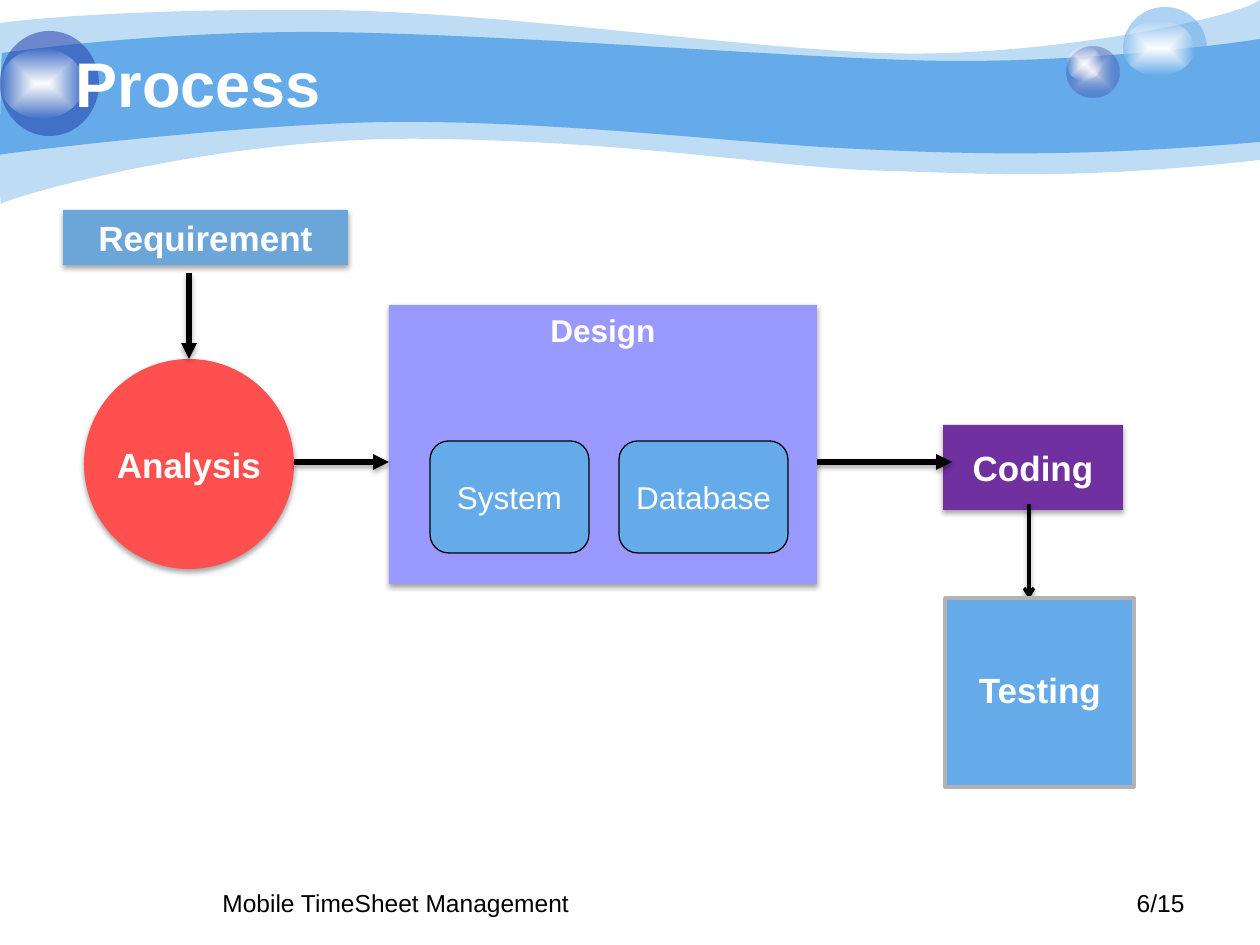
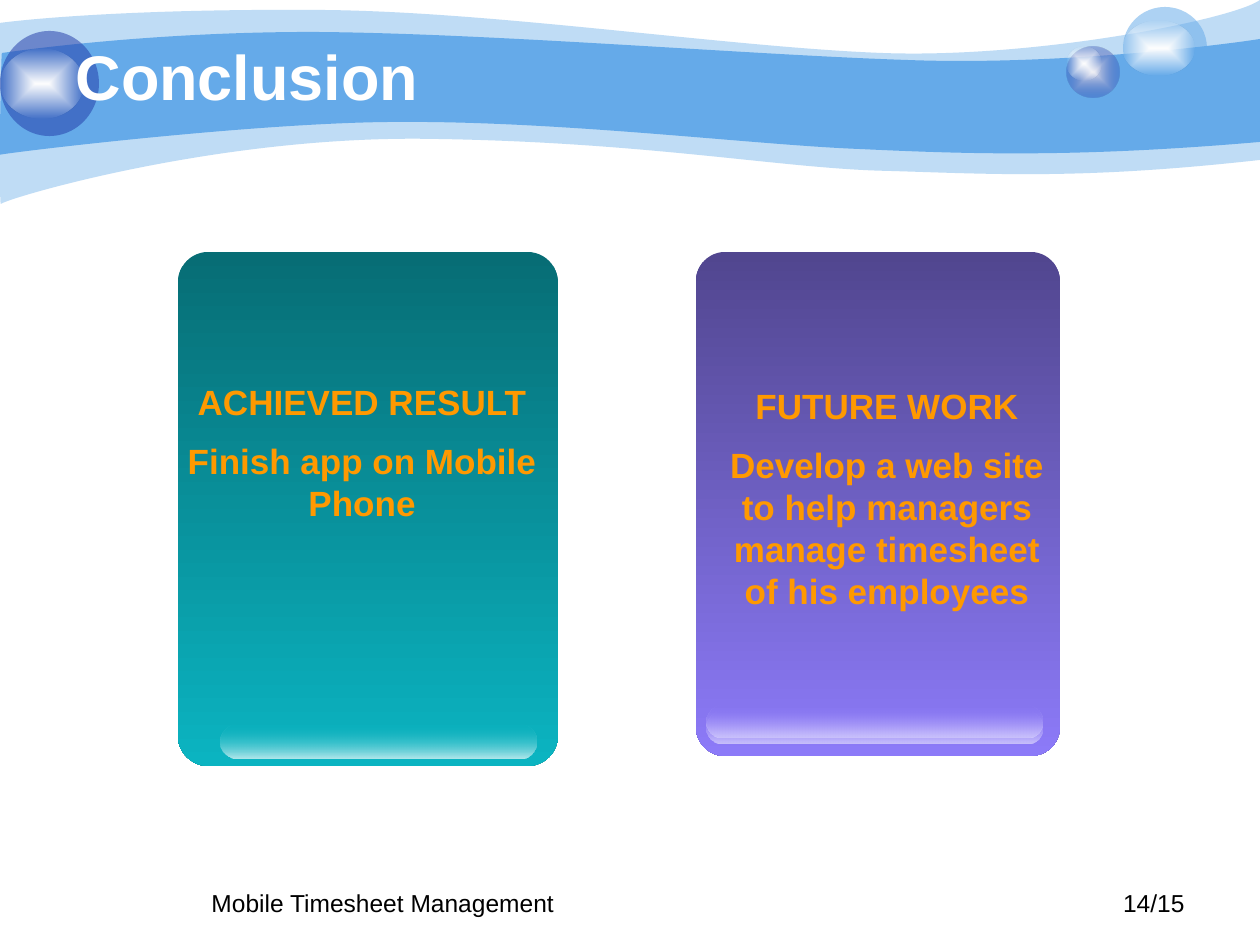
import dataclasses

import lxml.etree
import pptx
import pptx.dml.color
import pptx.enum.shapes
import pptx.enum.text
import pptx.oxml.ns
import pptx.util

SHAPE = pptx.enum.shapes.MSO_SHAPE
ALIGN = pptx.enum.text.PP_ALIGN
ANCHOR = pptx.enum.text.MSO_ANCHOR
qn = pptx.oxml.ns.qn


@dataclasses.dataclass(frozen=True)
class Theme:
    font: str = "Arial"
    title_size: int = 36
    label_size: int = 20
    inner_size: int = 18
    footer_size: int = 14
    white: str = "FFFFFF"
    black: str = "000000"
    sky: str = "65AAE9"
    navy: str = "233DA9"
    mist: str = "E1E2ED"
    steel: str = "6CA5D8"
    red: str = "FF5050"
    purple: str = "7030A0"
    lilac: str = "9999FF"
    silver: str = "B2B2B2"
    orange: str = "FF9900"


THEME = Theme()
EMU_PER_PX = 914400 / 126

# ---- Shared content: waves and glass bubbles (lengths in px) ----
# Each wave: start point, then segments of one end point or two handles and an end.
WAVES = [
    (THEME.sky, 41, (0, 23), [
        [(30, 19), (135, 9), (311, 10)], [(486, 10), (725, 47), (881, 53)],
        [(1036, 59), (1235, 19), (1260, 0)], [(1260, 160)],
        [(1081, 180), (992, 174), (888, 171)], [(784, 169), (649, 142), (432, 139)],
        [(217, 135), (5, 199), (1, 204)], [(-1, 210), (0, 53), (0, 23)]]),
    (THEME.sky, 100, (2, 53), [
        [(4, 53), (139, 32), (312, 32)], [(488, 33), (751, 55), (906, 60)],
        [(1060, 66), (1230, 44), (1260, 39)], [(1260, 142)],
        [(1075, 158), (965, 154), (859, 149)], [(755, 145), (563, 121), (399, 122)],
        [(256, 122), (-3, 154), (-1, 155)], [(0, 155), (1, 53), (2, 53)]]),
]
GLOW = [(THEME.white, 100), (THEME.white, 0)]
BUBBLES = [
    ((1067, 47, 53, 51), [(THEME.mist, 100), (THEME.navy, 31)], (1067, 47, 35, 34)),
    ((1123, 7, 84, 82), [(THEME.sky, 53)], (1123, 21, 71, 54)),
    ((0, 31, 99, 105), [(THEME.navy, 53)], (0, 49, 83, 70)),
]

# ---- Slide content ----
PROCESS = {"title": "Process", "title_box": (63, 38, 1134, 158),
           "footer": "Mobile TimeSheet Management", "footer_left": 210, "number": "6/15"}
CONCLUSION = {"title": "Conclusion", "title_box": (63, 31, 1134, 95),
              "footer": "Mobile Timesheet Management", "footer_left": 199, "number": "14/15"}

BOLD = {"bold": True}
INNER = {"size": THEME.inner_size}
OUTLINE = (THEME.black, 0.75)
FLOW_ARROW = (3, "triangle")
# Text, shape, box, fill, outline, font format, frame format, arrow
STEPS = [
    ("Requirement", SHAPE.RECTANGLE, (63, 210, 285, 55), THEME.steel, None,
     BOLD, {}, None),
    ("Analysis", SHAPE.OVAL, (84, 359, 210, 210), THEME.red, None,
     BOLD, {}, ((189, 273), (189, 359), *FLOW_ARROW)),
    ("Coding", SHAPE.RECTANGLE, (943, 425, 180, 85), THEME.purple, None,
     BOLD, {}, ((798, 462), (952, 462), *FLOW_ARROW)),
    ("Design", SHAPE.RECTANGLE, (389, 305, 428, 279), THEME.lilac, None,
     {**BOLD, **INNER}, {"vertical_anchor": ANCHOR.TOP},
     ((294, 462), (389, 462), *FLOW_ARROW)),
    ("System", SHAPE.FLOWCHART_ALTERNATE_PROCESS, (430, 441, 159, 112), THEME.sky,
     OUTLINE, INNER, {}, None),
    ("Database", SHAPE.FLOWCHART_ALTERNATE_PROCESS, (619, 441, 169, 112), THEME.sky,
     OUTLINE, INNER, {}, None),
]
TEST_ARROW = ((1029, 504), (1029, 599), 2, "arrow")
TEST_BOX = (945, 598, 189, 189)
TEST_LABEL = ("Testing", (935, 662, 210, 55))

# Box, panel colours, gloss colour, gloss boxes, text box, lines
PANELS = [
    ((178, 252, 380, 514), ("076D75", "0BB4C1"), "B5E8EC", [(221, 725, 316, 34)],
     (126, 374, 472, 292),
     ["ACHIEVED RESULT", "Finish app on Mobile Phone"]),
    ((696, 252, 364, 504), ("51468F", "8C7AF8"), "CBC2FC",
     [(707, 712, 335, 32), (707, 706, 335, 32)],
     (703, 378, 368, 246),
     ["FUTURE WORK",
      "Develop a web site to help managers manage timesheet of his employees"]),
]


# ---- Helpers ----
def px(*lengths):
    return [round(length * EMU_PER_PX) for length in lengths]


def rgb(colour):
    return pptx.dml.color.RGBColor.from_string(colour)


def set_all(target, values):
    for name, value in values.items():
        setattr(target, name, value)


def add_node(parent, tag, **attributes):
    node = lxml.etree.SubElement(parent, qn(tag))
    for name, value in attributes.items():
        node.set(name, str(value))
    return node


def add_colour(parent, colour, opacity):
    add_node(add_node(parent, "a:srgbClr", val=colour), "a:alpha", val=opacity * 1000)


def paint(shape, stops, radial=False):
    """Fill with one (colour, opacity), or with a downward or radial blend of two."""
    shape.fill.background()
    properties = shape.element.spPr
    blank = properties.find(qn("a:noFill"))
    if len(stops) == 1:
        fill = add_node(properties, "a:solidFill")
        add_colour(fill, *stops[0])
    else:
        fill = add_node(properties, "a:gradFill", rotWithShape=1)
        stop_list = add_node(fill, "a:gsLst")
        for position, stop in zip((0, 100000), stops):
            add_colour(add_node(stop_list, "a:gs", pos=position), *stop)
        if radial:
            centre = add_node(fill, "a:path", path="shape")
            add_node(centre, "a:fillToRect", l=50000, t=50000, r=50000, b=50000)
        else:
            add_node(fill, "a:lin", ang=5400000, scaled=1)
    properties.replace(blank, fill)


def finish(shape, outline=None):
    shape.shadow.inherit = False
    if outline:
        shape.line.color.rgb = rgb(outline[0])
        shape.line.width = pptx.util.Pt(outline[1])
    else:
        shape.line.fill.background()


def add_filled(page, kind, box, stops, radial=False, outline=None):
    shape = page.shapes.add_shape(kind, *px(*box))
    paint(shape, stops, radial)
    finish(shape, outline)
    return shape


def cast_shadow(shape):
    properties = shape.element.spPr
    effects = properties.find(qn("a:effectLst"))
    if effects is None:
        effects = add_node(properties, "a:effectLst")
    shadow = add_node(effects, "a:outerShdw", blurRad=39370, dist=22860,
                      dir=5400000, rotWithShape=0)
    add_colour(shadow, THEME.black, 35)


def write(frame, lines, align, font, layout=None):
    set_all(frame, {"word_wrap": True, "vertical_anchor": ANCHOR.TOP,
                    "auto_size": pptx.enum.text.MSO_AUTO_SIZE.NONE, **(layout or {})})
    values = {"size": THEME.label_size, "colour": THEME.white, "bold": False, **font}
    for index, line in enumerate(lines):
        para = frame.paragraphs[0] if index == 0 else frame.add_paragraph()
        para.alignment = align
        if index:
            para.space_before = pptx.util.Pt(10)
        span = para.add_run()
        span.text = line
        set_all(span.font, {"name": THEME.font, "bold": values["bold"],
                            "size": pptx.util.Pt(values["size"])})
        span.font.color.rgb = rgb(values["colour"])


def add_text(page, box, lines, align, font, layout=None):
    frame = page.shapes.add_textbox(*px(*box)).text_frame
    write(frame, lines, align, font, layout)


def add_wave(page, colour, opacity, start, segments):
    """Build the outline from its corners, then bend the sides that have handles."""
    corners = [segment[-1] for segment in segments]
    builder = page.shapes.build_freeform(*start, scale=EMU_PER_PX)
    builder.add_line_segments(corners, close=True)
    wave = builder.convert_to_shape()
    left, top = (min(values) for values in zip(start, *corners))
    sides = list(wave.element.iter(qn("a:lnTo")))
    for side, segment in zip(sides, segments):
        if len(segment) == 3:
            outline = side.getparent()
            curve = add_node(outline, "a:cubicBezTo")
            for x, y in segment:
                add_node(curve, "a:pt", x=x - left, y=y - top)
            outline.replace(side, curve)
    paint(wave, [(colour, opacity)])
    finish(wave)
    return wave


# ---- Shared parts ----
def decorate(layout, page):
    """Draw the header on a page, then move it behind everything on the layout."""
    shapes = [add_wave(page, *wave) for wave in WAVES]
    for ball, stops, glow in BUBBLES:
        shapes.append(add_filled(page, SHAPE.OVAL, ball, stops, radial=True))
        shapes.append(add_filled(page, SHAPE.OVAL, glow, GLOW, radial=True))
    for index, shape in enumerate(shapes):
        layout.shapes.element.insert(2 + index, shape.element)


def add_page(deck, layout, content):
    page = deck.slides.add_slide(layout)
    title = page.shapes.title
    set_all(title, dict(zip(("left", "top", "width", "height"),
                            px(*content["title_box"]))))
    write(title.text_frame, [content["title"]], ALIGN.LEFT,
          {"size": THEME.title_size, **BOLD})
    footer_font = {"size": THEME.footer_size, "colour": THEME.black}
    add_text(page, (content["footer_left"], 882, 903, 44), [content["footer"]],
             ALIGN.LEFT, footer_font)
    add_text(page, (1018, 882, 179, 44), [content["number"]], ALIGN.RIGHT, footer_font)
    return page


# ---- Slide bodies ----
def add_arrow(page, start, end, width, head):
    arrow = page.shapes.add_connector(pptx.enum.shapes.MSO_CONNECTOR.STRAIGHT,
                                      *px(*start, *end))
    arrow.line.color.rgb = rgb(THEME.black)
    arrow.line.width = pptx.util.Pt(width)
    add_node(arrow.element.spPr.find(qn("a:ln")), "a:tailEnd", type=head)
    cast_shadow(arrow)


def draw_process(page):
    centred = {"vertical_anchor": ANCHOR.MIDDLE}
    for text, kind, box, fill, outline, font, layout, arrow in STEPS:
        shape = add_filled(page, kind, box, [(fill, 100)], outline=outline)
        if not outline:
            cast_shadow(shape)
        write(shape.text_frame, [text], ALIGN.CENTER, font,
              {**centred, "word_wrap": False, **layout})
        if arrow:
            add_arrow(page, *arrow)
    add_arrow(page, *TEST_ARROW)
    add_filled(page, SHAPE.RECTANGLE, TEST_BOX, [(THEME.sky, 100)],
               outline=(THEME.silver, 2))
    text, box = TEST_LABEL
    add_text(page, box, [text], ALIGN.CENTER, BOLD, centred)


def draw_conclusion(page):
    for box, (dark, light), gloss, gloss_boxes, text_box, lines in PANELS:
        panel = add_filled(page, SHAPE.ROUNDED_RECTANGLE, box,
                           [(dark, 100), (light, 100)])
        panel.adjustments[0] = 0.08
        for gloss_box in gloss_boxes:
            shine = add_filled(page, SHAPE.ROUNDED_RECTANGLE, gloss_box,
                               [(light, 0), (gloss, 100)])
            shine.adjustments[0] = 0.5
        add_text(page, text_box, lines, ALIGN.CENTER, {"colour": THEME.orange, **BOLD})


def main():
    deck = pptx.Presentation()
    deck.slide_width, deck.slide_height = px(1260, 945)
    layout = deck.slide_layouts[5]
    process = add_page(deck, layout, PROCESS)
    decorate(layout, process)
    draw_process(process)
    draw_conclusion(add_page(deck, layout, CONCLUSION))
    deck.save("out.pptx")


if __name__ == "__main__":
    main()
